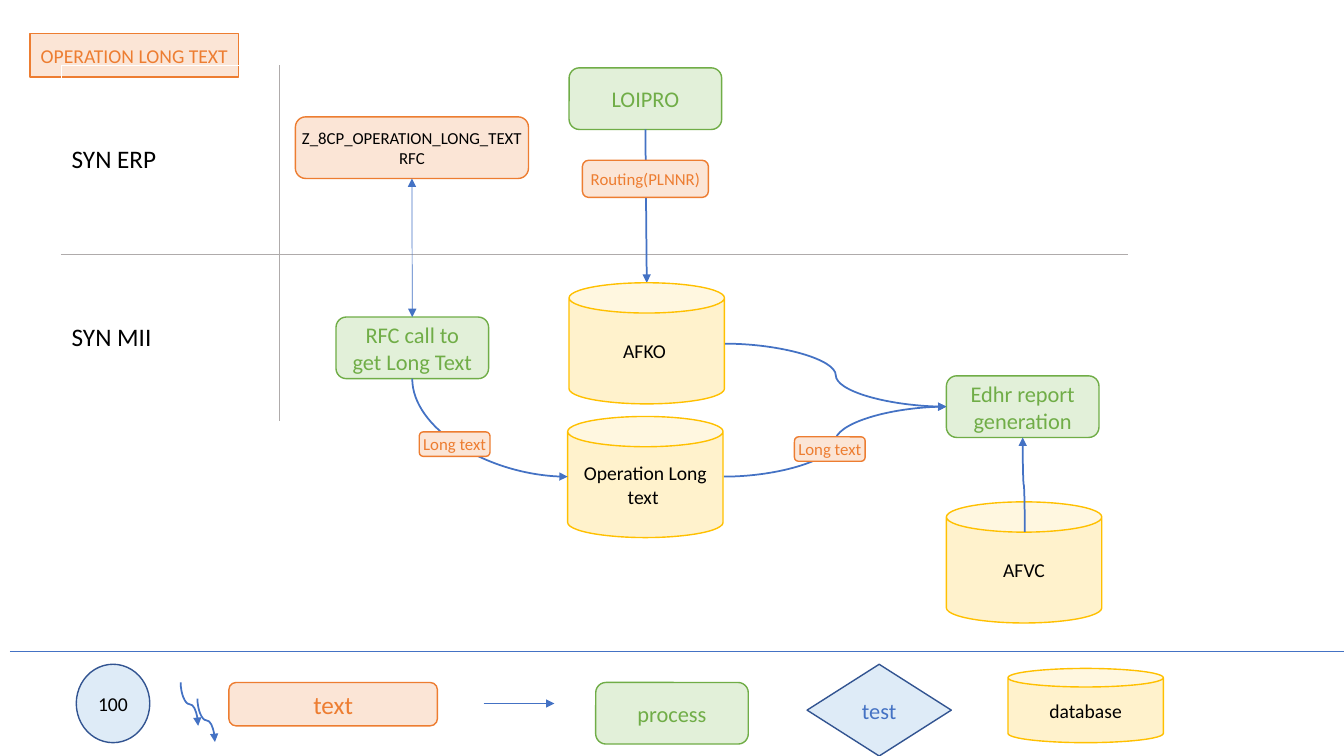
from lxml.etree import SubElement
from pptx import Presentation
from pptx.dml.color import RGBColor
from pptx.enum.shapes import MSO_CONNECTOR, MSO_SHAPE
from pptx.enum.text import MSO_ANCHOR, MSO_AUTO_SIZE, PP_ALIGN
from pptx.oxml import parse_xml
from pptx.oxml.ns import nsdecls, qn
from pptx.util import Pt

COLORS = {
    "blue": "4472C4",
    "navy": "325491",
    "pale_blue": "DEEBF7",
    "orange": "ED7D31",
    "pale_orange": "FBE5D6",
    "green": "70AD47",
    "pale_green": "E2F0D9",
    "gold": "FFC000",
    "pale_gold": "FFF2CC",
    "grey": "AFABAB",
    "black": "000000",
}
FONT = "Calibri"
PROCESS_SIZE = (109, 44)
DATABASE_SIZE = (111, 86.5)
LABEL_SIZE = (50.5, 17.5)


def color(name):
    return RGBColor.from_string(COLORS[name])


def add_run(paragraph, text, size, text_color):
    run = paragraph.add_run()
    run.text = text
    run.font.name = FONT
    run.font.size = Pt(size)
    run.font.color.rgb = color(text_color)


def format_box(shape, text, size, fill, line, text_color, inset=True):
    shape.fill.solid()
    shape.fill.fore_color.rgb = color(fill)
    shape.line.color.rgb = color(line)
    shape.line.width = Pt(1)
    frame = shape.text_frame
    frame.word_wrap = True
    frame.auto_size = MSO_AUTO_SIZE.NONE
    frame.vertical_anchor = MSO_ANCHOR.MIDDLE
    if not inset:
        frame.margin_left = frame.margin_right = Pt(0)
        frame.margin_top = frame.margin_bottom = Pt(0)
    paragraph = frame.paragraphs[0]
    paragraph.alignment = PP_ALIGN.CENTER
    add_run(paragraph, text, size, text_color)


def add_box(slide, kind, bounds, *style, inset=True):
    shape = slide.shapes.add_shape(kind, *map(Pt, bounds))
    shape.shadow.inherit = False
    format_box(shape, *style, inset=inset)
    return shape


def add_process(slide, left, top, text):
    return add_box(slide, MSO_SHAPE.ROUNDED_RECTANGLE, (left, top, *PROCESS_SIZE),
                   text, 16, "pale_green", "green", "green")


def add_database(slide, left, top, text, size=DATABASE_SIZE):
    return add_box(slide, MSO_SHAPE.CAN, (left, top, *size),
                   text, 14, "pale_gold", "gold", "black")


def add_label(slide, bounds, text, size=12, text_color="orange"):
    return add_box(slide, MSO_SHAPE.ROUNDED_RECTANGLE, bounds,
                   text, size, "pale_orange", "orange", text_color, inset=False)


def add_line(slide, begin, end, kind=MSO_CONNECTOR.STRAIGHT, width=1.25, arrows=("tailEnd",)):
    connector = slide.shapes.add_connector(kind, *map(Pt, (*begin, *end)))
    connector.line.color.rgb = color("blue")
    connector.line.width = Pt(width)
    outline = connector.line._get_or_add_ln()
    for arrow in arrows:
        SubElement(outline, qn(f"a:{arrow}"), type="triangle")
    SubElement(connector._element.spPr, qn("a:effectLst"))
    return connector


def add_curve(slide, begin, end):
    return add_line(slide, begin, end, MSO_CONNECTOR.CURVE)


def add_vertical_curve(slide, begin, end, preset="curvedConnector3"):
    connector = add_curve(slide, begin, end)
    (x1, y1), (x2, y2) = begin, end
    width, height = abs(y2 - y1), abs(x2 - x1)
    connector.left = Pt((x1 + x2 - width) / 2)
    connector.top = Pt((y1 + y2 - height) / 2)
    connector.width, connector.height = Pt(width), Pt(height)
    properties = connector._element.spPr
    transform = properties.find(qn("a:xfrm"))
    transform.set("rot", "16200000")
    transform.set("flipH", str(int(y2 > y1)))
    transform.set("flipV", str(int(x2 < x1)))
    properties.find(qn("a:prstGeom")).set("prst", preset)


def set_borders(cell, sides):
    properties = cell._tc.get_or_add_tcPr()
    for index, side in enumerate(sides):
        properties.insert(index, parse_xml(
            f'<a:ln{side} {nsdecls("a")} w="12700"><a:solidFill>'
            f'<a:srgbClr val="{COLORS["grey"]}"/></a:solidFill></a:ln{side}>'))


def add_system_table(slide):
    table = slide.shapes.add_table(2, 2, *map(Pt, (44, 47, 761, 254))).table
    table.first_row = table.horz_banding = False
    for column, width in zip(table.columns, (155.5, 605.5)):
        column.width = Pt(width)
    for row, height in zip(table.rows, (135, 119)):
        row.height = Pt(height)
    borders = (("RB", "LB"), ("RT", "LT"))
    for row, sides_in_row in enumerate(borders):
        for column, sides in enumerate(sides_in_row):
            cell = table.cell(row, column)
            cell.fill.background()
            set_borders(cell, sides)
    for row, system in enumerate(("SYN ERP", "SYN MII")):
        cell = table.cell(row, 0)
        cell.vertical_anchor = MSO_ANCHOR.MIDDLE
        add_run(cell.text_frame.paragraphs[0], system, 18, "black")


def add_title(slide):
    title = slide.shapes.title
    title.left, title.top, title.width, title.height = map(Pt, (21.5, 24, 149, 31))
    title._element.spPr.append(parse_xml(
        f'<a:prstGeom {nsdecls("a")} prst="roundRect"><a:avLst/></a:prstGeom>'))
    format_box(title, "OPERATION LONG TEXT", 14,
               "pale_orange", "orange", "orange", inset=False)


def add_legend(slide):
    add_line(slide, (7, 465.5), (960, 465.5), width=0.5, arrows=())
    add_box(slide, MSO_SHAPE.OVAL, (54.5, 474.5, 52.5, 56),
            "100", 14, "pale_blue", "navy", "black")
    for left, top in ((129, 487.5), (141, 499)):
        add_vertical_curve(slide, (left, top), (left + 12.5, top + 31))
    add_label(slide, (163.5, 487.5, 149, 31), "text", 18)
    add_line(slide, (345.5, 502.5), (396, 502.5))
    add_process(slide, 425.5, 487.5, "process")
    add_box(slide, MSO_SHAPE.DIAMOND, (576.5, 474.5, 103, 65.5),
            "test", 16, "pale_blue", "navy", "blue")
    add_database(slide, 720, 477.5, "database", (111, 53))


def add_flow(slide):
    order_message = add_process(slide, 406.5, 48.5, "LOIPRO")
    routing = add_line(slide, (461, 92.5), (462, 202))
    routing.begin_connect(order_message, 2)
    add_label(slide, (416, 114.5, 90, 26.5), "Routing(PLNNR)")

    add_process(slide, 676, 268.5, "Edhr report generation")
    add_curve(slide, (517, 340.5), (676, 290.5))
    add_database(slide, 406.5, 202, "AFKO ")
    add_database(slide, 405.5, 297.5, "Operation Long text ")
    add_label(slide, (567.5, 312, *LABEL_SIZE), "Long text")
    add_curve(slide, (518, 245.5), (676, 290.5))
    add_database(slide, 676, 358.5, "AFVC")
    add_vertical_curve(slide, (732, 380), (730.5, 312.5))

    long_text_call = add_process(slide, 240, 226.5, "RFC call to get Long Text")
    add_vertical_curve(slide, (294.5, 270.5), (405.5, 340.5), "curvedConnector2")
    add_label(slide, (299.5, 308.5, *LABEL_SIZE), "Long text")
    remote_function = add_label(slide, (211, 83.5, 166.5, 44),
                                "Z_8CP_OPERATION_LONG_TEXT RFC", text_color="black")
    exchange = add_line(slide, (294.5, 127.5), (294.5, 226.5),
                        width=0.5, arrows=("headEnd", "tailEnd"))
    exchange.begin_connect(remote_function, 2)
    exchange.end_connect(long_text_call, 0)


def main():
    presentation = Presentation()
    presentation.slide_width, presentation.slide_height = Pt(960), Pt(540)
    slide = presentation.slides.add_slide(presentation.slide_layouts[5])
    add_title(slide)
    add_system_table(slide)
    add_legend(slide)
    add_flow(slide)
    presentation.save("out.pptx")


if __name__ == "__main__":
    main()
